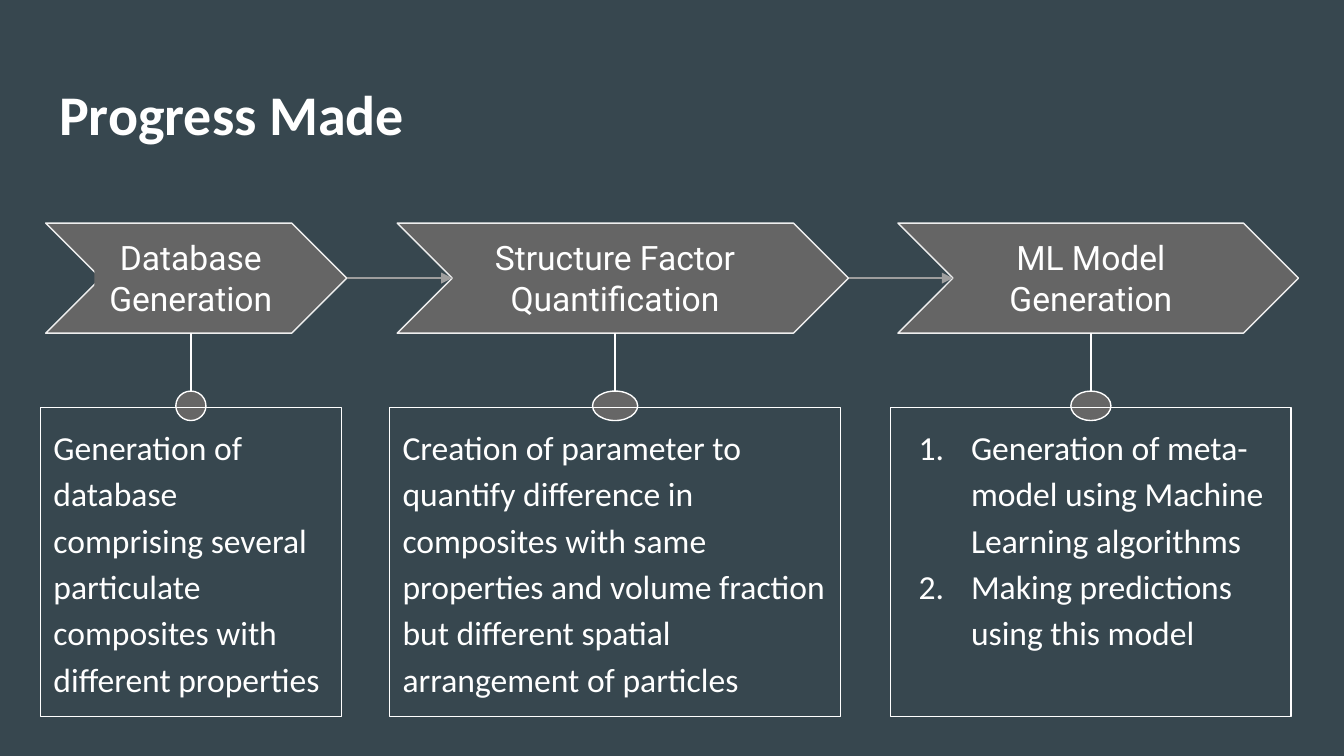
from dataclasses import dataclass
from typing import Optional

from lxml import etree
from pptx import Presentation
from pptx import util as u
from pptx.dml import color
from pptx.enum import shapes, text
from pptx.oxml import ns

COLORS = {
    "background": "37474F", "white": "FFFFFF", "chevron": "656565",
    "chevron_line": "EFEFEF", "dot": "666666", "arrow": "9E9E9E",
}
CHEVRON_TOP, CHEVRON_H = 119.5, 59
LABEL_TOP, LABEL_H = 130.3, 36.7
DOT_TOP, DOT_H = 209.5, 15.8
BOX_TOP, BOX_H = 218.2, 165.6
STEM_BOTTOM = 221.8
LABEL_SHARE, DOT_SHARE = 0.64, 0.1
LINE_W = 0.75


@dataclass
class Stage:
    label: str
    details: list[str]
    chevron_left: float
    box_left: float
    width: float
    numbered: bool = False


STAGES = [
    Stage("Database Generation",
          ["Generation of database comprising several particulate "
           "composites with different properties"], 24.5, 21.6, 161.3),
    Stage("Structure Factor Quantification",
          ["Creation of parameter to quantify difference in composites with "
           "same properties and volume fraction but different spatial "
           "arrangement of particles"], 212.8, 208.6, 241.8),
    Stage("ML Model Generation",
          ["Generation of meta-model using Machine Learning algorithms",
           "Making predictions using this model"],
          481, 477.1, 214.6, numbered=True),
]


def rgb(name: str) -> color.RGBColor:
    return color.RGBColor.from_string(COLORS[name])


def add_run(p, words: str, font: str, size: float, bold: bool = False) -> None:
    r = p.add_run()
    r.text = words
    r.font.name = font
    r.font.size = u.Pt(size)
    r.font.bold = bold
    r.font.color.rgb = rgb("white")


def set_frame(tf, anchor) -> None:
    tf.word_wrap = True
    tf.auto_size = text.MSO_AUTO_SIZE.NONE
    tf.vertical_anchor = anchor
    tf.margin_left = tf.margin_right = u.Pt(7.2)
    tf.margin_top = tf.margin_bottom = u.Pt(7.2)


def add_shape(s, kind, left: float, top: float, width: float, height: float,
              fill: Optional[str] = None, line: Optional[str] = None):
    sp = s.shapes.add_shape(kind, u.Pt(left), u.Pt(top), u.Pt(width), u.Pt(height))
    sp.shadow.inherit = False
    if fill:
        sp.fill.solid()
        sp.fill.fore_color.rgb = rgb(fill)
    else:
        sp.fill.background()
    if line:
        sp.line.color.rgb = rgb(line)
        sp.line.width = u.Pt(LINE_W)
    else:
        sp.line.fill.background()
    return sp


def add_line(s, x1: float, y1: float, x2: float, y2: float, line: str,
             arrow: bool = False):
    c = s.shapes.add_connector(shapes.MSO_CONNECTOR.STRAIGHT,
                               u.Pt(x1), u.Pt(y1), u.Pt(x2), u.Pt(y2))
    c.line.color.rgb = rgb(line)
    c.line.width = u.Pt(LINE_W)
    if arrow:
        ln = c.line._get_or_add_ln()
        etree.SubElement(ln, ns.qn("a:tailEnd"), type="triangle", w="med", len="med")
    etree.SubElement(c._element.spPr, ns.qn("a:effectLst"))
    return c


def number_paragraph(p) -> None:
    pPr = p._p.get_or_add_pPr()
    pPr.set("marL", str(u.Pt(36)))
    pPr.set("indent", str(u.Pt(-28)))
    clr = etree.SubElement(pPr, ns.qn("a:buClr"))
    etree.SubElement(clr, ns.qn("a:srgbClr"), val=COLORS["white"])
    etree.SubElement(pPr, ns.qn("a:buFont"), typeface="Calibri")
    etree.SubElement(pPr, ns.qn("a:buAutoNum"), type="arabicPeriod")


def add_stage(s, stage: Stage):
    kinds = shapes.MSO_SHAPE
    center = stage.box_left + stage.width / 2

    chevron = add_shape(s, kinds.CHEVRON, stage.chevron_left, CHEVRON_TOP,
                        stage.width, CHEVRON_H, "chevron", "chevron_line")
    label_w = stage.width * LABEL_SHARE
    label = add_shape(s, kinds.RECTANGLE, center - label_w / 2, LABEL_TOP,
                      label_w, LABEL_H, "chevron")
    set_frame(label.text_frame, text.MSO_ANCHOR.MIDDLE)
    p = label.text_frame.paragraphs[0]
    p.alignment = text.PP_ALIGN.CENTER
    add_run(p, stage.label, "Roboto", 18)

    add_line(s, center, STEM_BOTTOM, center, CHEVRON_TOP + CHEVRON_H, "white")
    dot_w = stage.width * DOT_SHARE
    add_shape(s, kinds.OVAL, center - dot_w / 2, DOT_TOP, dot_w, DOT_H, "dot", "white")

    box = add_shape(s, kinds.RECTANGLE, stage.box_left, BOX_TOP,
                    stage.width, BOX_H, line="white")
    tf = box.text_frame
    set_frame(tf, text.MSO_ANCHOR.TOP)
    for i, detail in enumerate(stage.details):
        p = tf.add_paragraph() if i else tf.paragraphs[0]
        p.alignment = text.PP_ALIGN.LEFT
        p.line_spacing = 1.15
        if stage.numbered:
            number_paragraph(p)
        add_run(p, detail, "Calibri", 18)
    return chevron


def add_title(s, words: str) -> None:
    sp = s.shapes.title
    sp.left, sp.top, sp.width, sp.height = (u.Pt(v) for v in (24.5, 35.3, 671, 45.4))
    set_frame(sp.text_frame, text.MSO_ANCHOR.TOP)
    p = sp.text_frame.paragraphs[0]
    p.alignment = text.PP_ALIGN.LEFT
    add_run(p, words, "Calibri", 30, bold=True)


def main() -> None:
    prs = Presentation()
    prs.slide_width, prs.slide_height = u.Pt(720), u.Pt(405)
    s = prs.slides.add_slide(prs.slide_layouts[5])
    s.background.fill.solid()
    s.background.fill.fore_color.rgb = rgb("background")

    add_title(s, "Progress Made")
    chevrons = [add_stage(s, stage) for stage in STAGES]
    middle = CHEVRON_TOP + CHEVRON_H / 2
    for source, stage, following in zip(chevrons, STAGES, STAGES[1:]):
        notch = following.chevron_left + CHEVRON_H / 2
        c = add_line(s, stage.chevron_left + stage.width, middle,
                     notch, middle, "arrow", arrow=True)
        c.begin_connect(source, 3)
    prs.save("out.pptx")


if __name__ == "__main__":
    main()
